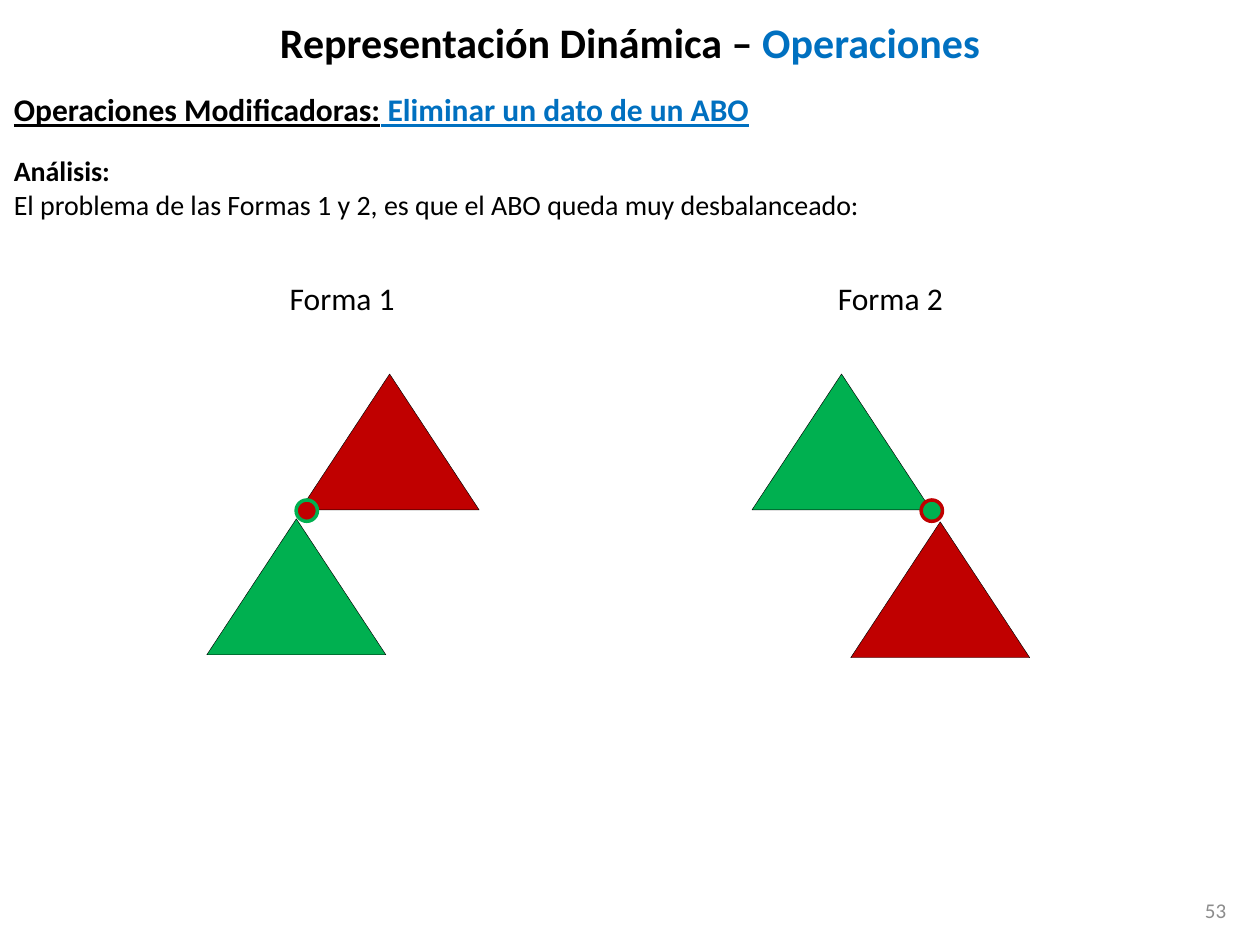
from dataclasses import dataclass

from pptx import Presentation
from pptx import util as u
from pptx.dml.color import RGBColor
from pptx.enum import shapes, text

COLORS = {
    "black": "000000",
    "blue": "0070C0",
    "gray": "8C8C8C",
    "green": "00B050",
    "red": "C00000",
}
FONT = "Calibri"
TRIANGLE_W, TRIANGLE_H = 3.61, 2.74
NODE_SIZE = 0.43
TOP_Y, NODE_Y, LABEL_Y = 7.54, 10.08, 5.51


@dataclass
class Tree:
    label: str
    label_x: float
    top_x: float
    top_color: str
    bottom_x: float
    bottom_y: float
    bottom_color: str
    node_x: float


TREES = [
    Tree("Forma 1", 5.59, 6.05, "red", 4.17, 10.46, "green", 5.97),
    Tree("Forma 2", 16.64, 15.16, "green", 17.15, 10.52, "red", 18.57),
]


def rgb(name: str) -> RGBColor:
    return RGBColor.from_string(COLORS[name])


def add_run(p, content: str, *, size: float, color: str = "black",
            bold: bool = False, underline: bool = False) -> None:
    r = p.add_run()
    r.text = content
    f = r.font
    f.name, f.size, f.bold, f.underline = FONT, u.Pt(size), bold, underline
    f.color.rgb = rgb(color)


def add_box(container, x: float, y: float, w: float, h: float, *,
            wrap: bool = True, grow: bool = True):
    sp = container.add_textbox(u.Cm(x), u.Cm(y), u.Cm(w), u.Cm(h))
    tf = sp.text_frame
    tf.word_wrap = wrap
    if grow:
        tf.auto_size = text.MSO_AUTO_SIZE.SHAPE_TO_FIT_TEXT
    return tf


def add_figure(container, kind, x: float, y: float, w: float, h: float, *,
               fill: str, line: str = "black", line_width: float = 0.25) -> None:
    sp = container.add_shape(kind, u.Cm(x), u.Cm(y), u.Cm(w), u.Cm(h))
    sp.shadow.inherit = False
    sp.fill.solid()
    sp.fill.fore_color.rgb = rgb(fill)
    sp.line.color.rgb = rgb(line)
    sp.line.width = u.Pt(line_width)


def add_tree(s, tree: Tree) -> None:
    group = s.shapes.add_group_shape().shapes
    triangle = shapes.MSO_SHAPE.ISOSCELES_TRIANGLE
    for x, y, color in ((tree.bottom_x, tree.bottom_y, tree.bottom_color),
                        (tree.top_x, TOP_Y, tree.top_color)):
        add_figure(group, triangle, x, y, TRIANGLE_W, TRIANGLE_H, fill=color)
    add_figure(group, shapes.MSO_SHAPE.OVAL, tree.node_x, NODE_Y, NODE_SIZE, NODE_SIZE,
               fill=tree.top_color, line=tree.bottom_color, line_width=2)
    tf = add_box(group, tree.label_x, LABEL_Y, 2.64, 1.02, wrap=False)
    add_run(tf.paragraphs[0], tree.label, size=18)


def add_title(s) -> None:
    sp = s.shapes.title
    sp.left, sp.top, sp.width, sp.height = u.Cm(0), u.Cm(0), u.Cm(25.4), u.Cm(1.7)
    tf = sp.text_frame
    tf.vertical_anchor = text.MSO_ANCHOR.MIDDLE
    p = tf.paragraphs[0]
    p.alignment = text.PP_ALIGN.CENTER
    add_run(p, "Representación Dinámica –", size=24, bold=True)
    add_run(p, " Operaciones", size=24, color="blue", bold=True)


def add_texts(s) -> None:
    p = add_box(s.shapes, 0.03, 1.7, 25.37, 1.02).paragraphs[0]
    p.alignment = text.PP_ALIGN.JUSTIFY
    add_run(p, "Operaciones Modificadoras:", size=18, bold=True, underline=True)
    add_run(p, " Eliminar un dato de un ABO", size=18, color="blue",
            bold=True, underline=True)

    tf = add_box(s.shapes, 0.03, 2.97, 25.4, 1.63)
    heading, body = tf.paragraphs[0], tf.add_paragraph()
    heading.alignment = body.alignment = text.PP_ALIGN.JUSTIFY
    add_run(heading, "Análisis:", size=16, bold=True)
    add_run(body, "El problema de las Formas 1 y 2, es que el ABO queda muy desbalanceado:",
            size=16)

    tf = add_box(s.shapes, 23.7, 17.83, 1.27, 1.02, grow=False)
    tf.vertical_anchor = text.MSO_ANCHOR.MIDDLE
    p = tf.paragraphs[0]
    p.alignment = text.PP_ALIGN.RIGHT
    add_run(p, "53", size=12, color="gray")


def main() -> None:
    prs = Presentation()
    prs.slide_width, prs.slide_height = u.Cm(25.4), u.Cm(19.05)
    s = prs.slides.add_slide(prs.slide_layouts[5])
    add_title(s)
    add_texts(s)
    for tree in TREES:
        add_tree(s, tree)
    prs.save("out.pptx")


if __name__ == "__main__":
    main()
